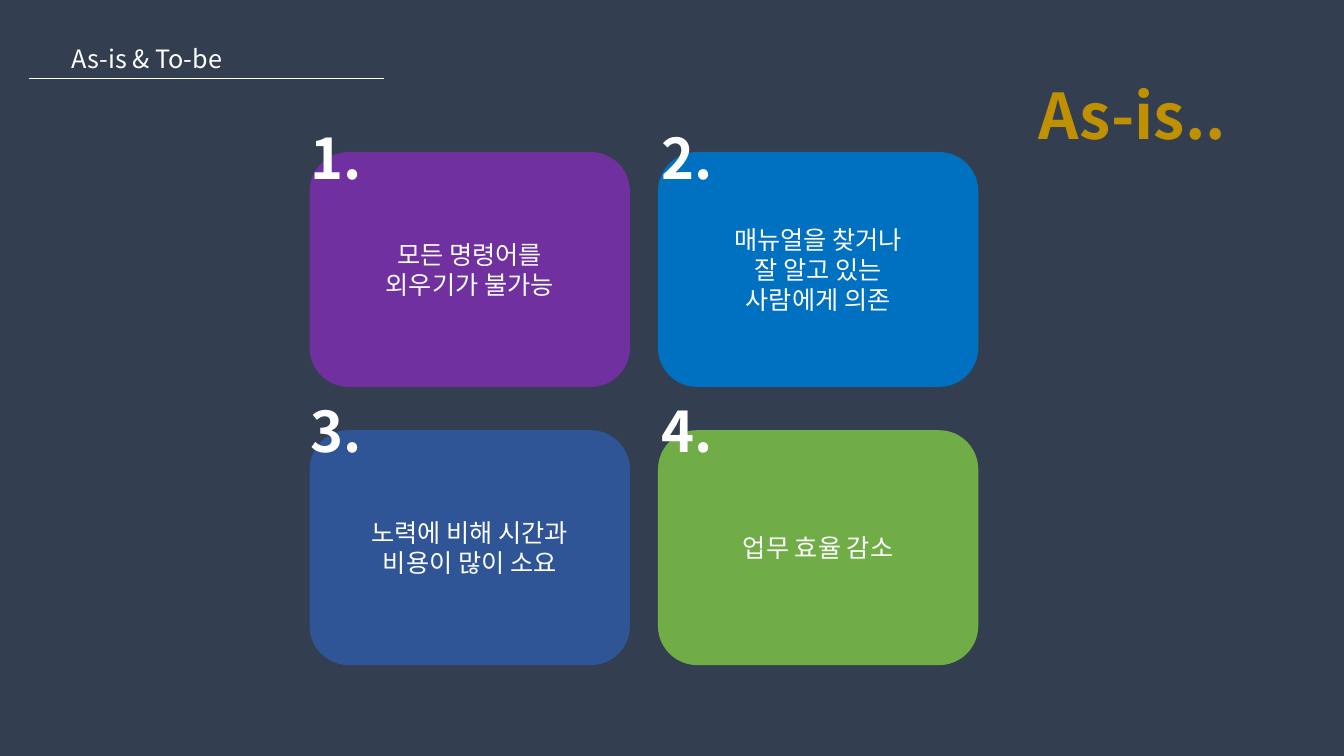
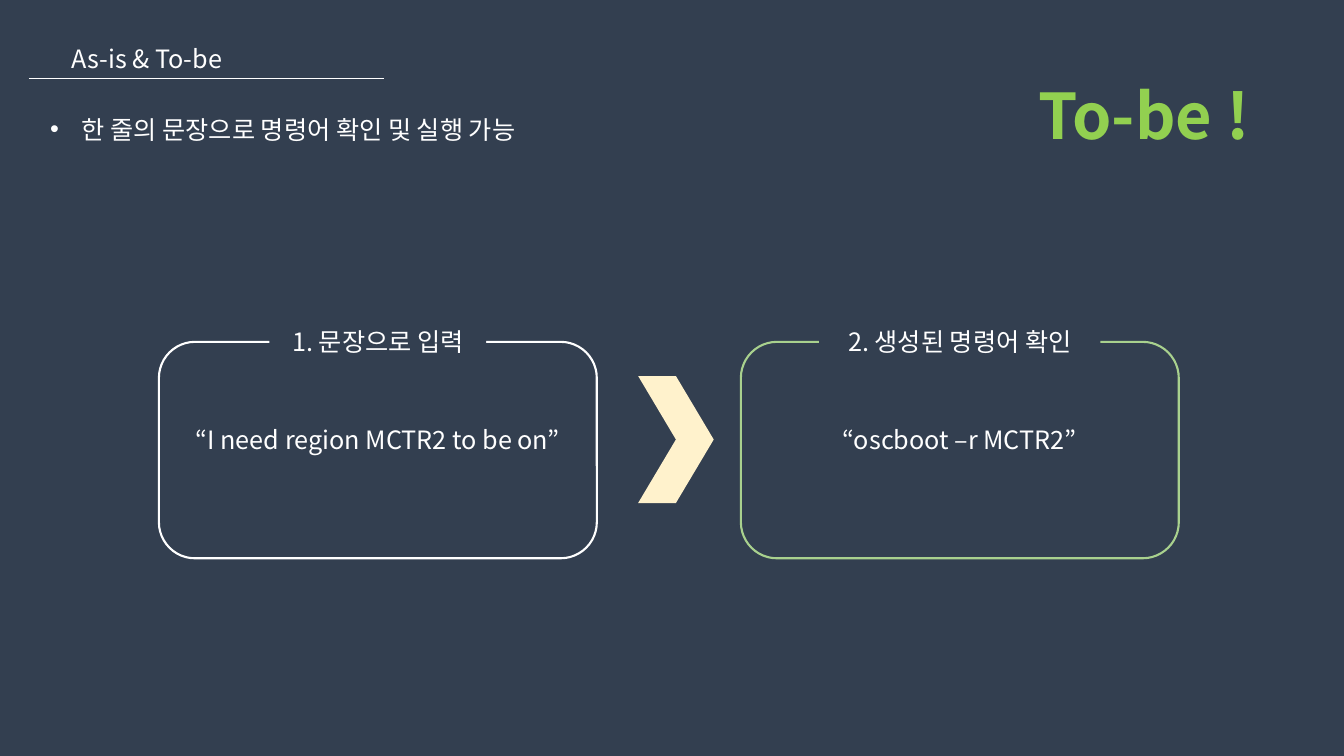
from dataclasses import dataclass
from lxml import etree
from pptx import Presentation
from pptx import util as u
from pptx.dml import color
from pptx.enum import shapes, text
from pptx.oxml import ns

FONT = "Noto Sans CJK KR"
NAVY, WHITE, GOLD, LIME = "333F50", "FFFFFF", "BF9000", "92D050"
SAGE, CREAM = "A9D18E", "FFF2CC"
PURPLE, BLUE, INDIGO, GREEN = "7030A0", "0070C0", "2F5597", "70AD47"
LINE_H = 28.8
SHAPE = shapes.MSO_SHAPE
CENTER = text.PP_ALIGN.CENTER


@dataclass
class Box:
    x: float
    y: float
    w: float
    h: float

    def lengths(self) -> list:
        return [u.Pt(v) for v in (self.x, self.y, self.w, self.h)]


@dataclass
class Card:
    lines: str
    fill: str


@dataclass
class Panel:
    label: str
    label_w: float
    quote: str
    quote_w: float
    line: str


def rgb(value: str) -> color.RGBColor:
    return color.RGBColor.from_string(value)


def write(sp, content: str, *, size=18, ink=WHITE, bold=False, align=None,
          anchor=text.MSO_ANCHOR.TOP, grow=True, bullet=None):
    tf = sp.text_frame
    tf.word_wrap = True
    tf.vertical_anchor = anchor
    if grow:
        tf.auto_size = text.MSO_AUTO_SIZE.SHAPE_TO_FIT_TEXT
    for i, line in enumerate(content.split("\n")):
        p = tf.add_paragraph() if i else tf.paragraphs[0]
        p.alignment = align
        r = p.add_run()
        r.text = line
        r.font.name, r.font.size, r.font.bold = FONT, u.Pt(size), bold
        r.font.color.rgb = rgb(ink)
        etree.SubElement(r.font._element, ns.qn("a:ea"), typeface=FONT)
        if bullet:
            pPr = p._p.get_or_add_pPr()
            indent = u.Pt(22.5)
            pPr.set("marL", str(indent))
            pPr.set("indent", str(-indent))
            etree.SubElement(pPr, ns.qn("a:buFont"), typeface="Arial")
            etree.SubElement(pPr, ns.qn("a:buChar"), char=bullet)


def add_text(s, box: Box, content: str, **fmt):
    write(s.shapes.add_textbox(*box.lengths()), content, **fmt)


def add_shape(s, kind, box: Box, fill=None, line=None):
    sp = s.shapes.add_shape(kind, *box.lengths())
    sp.shadow.inherit = False
    if fill:
        sp.fill.solid()
        sp.fill.fore_color.rgb = rgb(fill)
    else:
        sp.fill.background()
    if line:
        sp.line.color.rgb = rgb(line)
        sp.line.width = u.Pt(1.5)
    else:
        sp.line.fill.background()
    return sp


def add_slide(prs, headline: str, ink: str):
    s = prs.slides.add_slide(prs.slide_layouts[6])
    add_text(s, Box(44, 27.4, 460, LINE_H), "As-is & To-be")
    rule = s.shapes.add_connector(shapes.MSO_CONNECTOR.STRAIGHT,
                                  u.Pt(20.7), u.Pt(56), u.Pt(274.3), u.Pt(56))
    rule.line.color.rgb = rgb(WHITE)
    rule.line.width = u.Pt(0.5)
    etree.SubElement(rule._element.spPr, ns.qn("a:effectLst"))
    add_text(s, Box(734.4, 51.1, 194.4, 62), headline, size=45, ink=ink, bold=True)
    return s


def add_cards(s, cards: list[Card]):
    for i, card in enumerate(cards):
        row, col = divmod(i, 2)
        box = Box(221.2 + 248.8 * col, 108.6 + 198.7 * row, 228.8, 167.8)
        sp = add_shape(s, SHAPE.ROUNDED_RECTANGLE, box, fill=card.fill)
        write(sp, card.lines, align=CENTER, anchor=text.MSO_ANCHOR.MIDDLE, grow=False)
        number = Box(214.8 + 250.8 * col, 85 + 194.4 * row, 80.6, 55.4)
        add_text(s, number, f"{i + 1}.", size=40, bold=True)


def add_panels(s, panels: list[Panel]):
    for i, panel in enumerate(panels):
        box = Box(113.5 + 415.7 * i, 244.2, 312.8, 154.6)
        mid = box.x + box.w / 2
        add_shape(s, SHAPE.ROUNDED_RECTANGLE, box, line=panel.line)
        label = Box(mid - panel.label_w / 2, box.y - LINE_H / 2, panel.label_w, LINE_H)
        write(add_shape(s, SHAPE.RECTANGLE, label, fill=NAVY), panel.label, align=CENTER)
        quote = Box(mid - panel.quote_w / 2, 299.6, panel.quote_w, LINE_H)
        add_text(s, quote, panel.quote, align=CENTER)


prs = Presentation()
prs.slide_width, prs.slide_height = u.Pt(960), u.Pt(540)
backdrop = prs.slide_master.background.fill
backdrop.solid()
backdrop.fore_color.rgb = rgb(NAVY)

s = add_slide(prs, "As-is..", GOLD)
add_cards(s, [
    Card("모든 명령어를\n외우기가 불가능", PURPLE),
    Card("매뉴얼을 찾거나\n잘 알고 있는\n사람에게 의존", BLUE),
    Card("노력에 비해 시간과\n비용이 많이 소요", INDIGO),
    Card("업무 효율 감소", GREEN),
])

s = add_slide(prs, "To-be !", LIME)
add_text(s, Box(28.8, 77.8, 460, LINE_H), "한 줄의 문장으로 명령어 확인 및 실행 가능", bullet="•")
add_panels(s, [
    Panel("1. 문장으로 입력", 154.8, "“I need region MCTR2 to be on”", 285, WHITE),
    Panel("2. 생성된 명령어 확인", 200.9, "“oscboot –r MCTR2”", 203, SAGE),
])
add_shape(s, SHAPE.CHEVRON, Box(455.8, 268.6, 54, 90.7), fill=CREAM)

prs.save("out.pptx")
